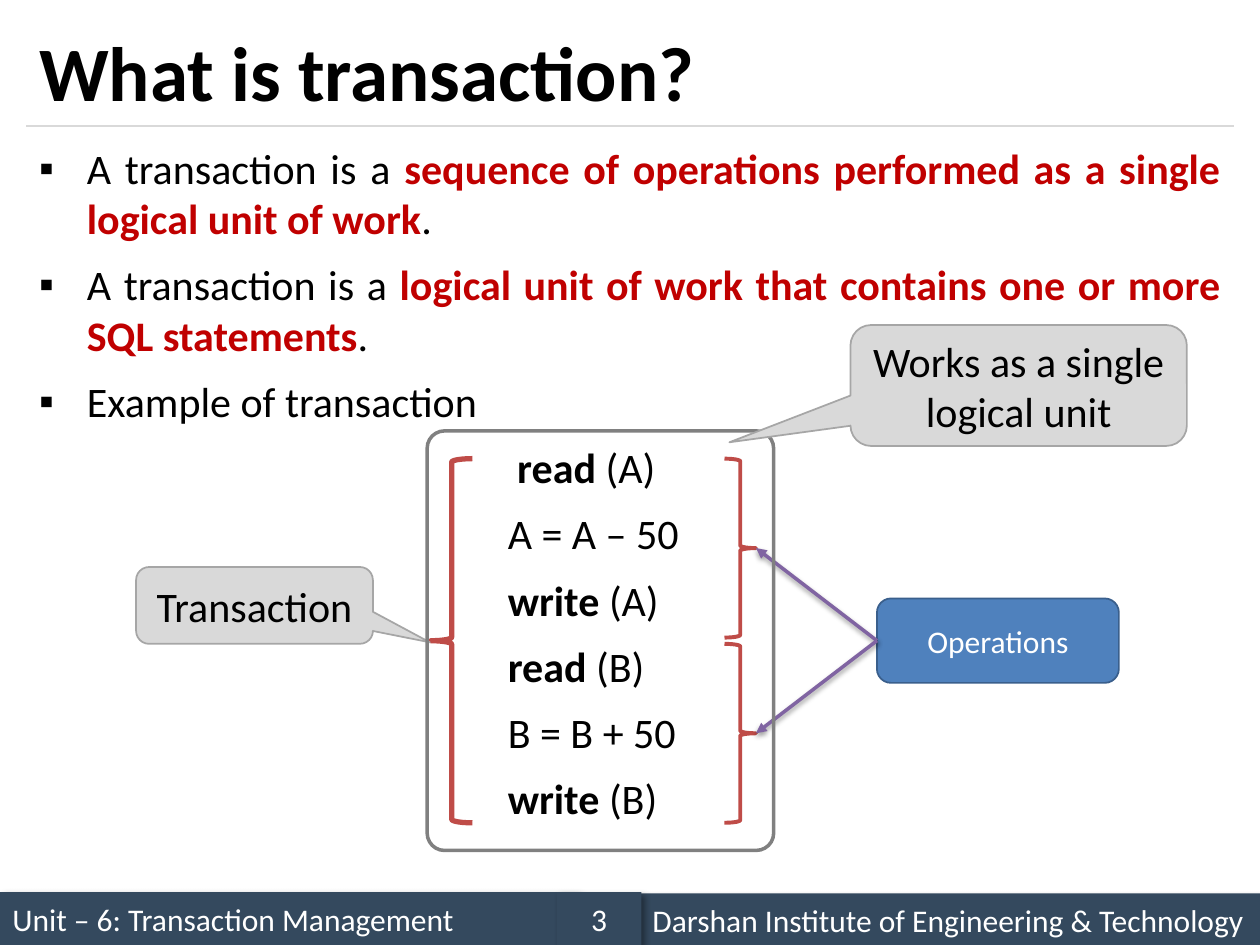
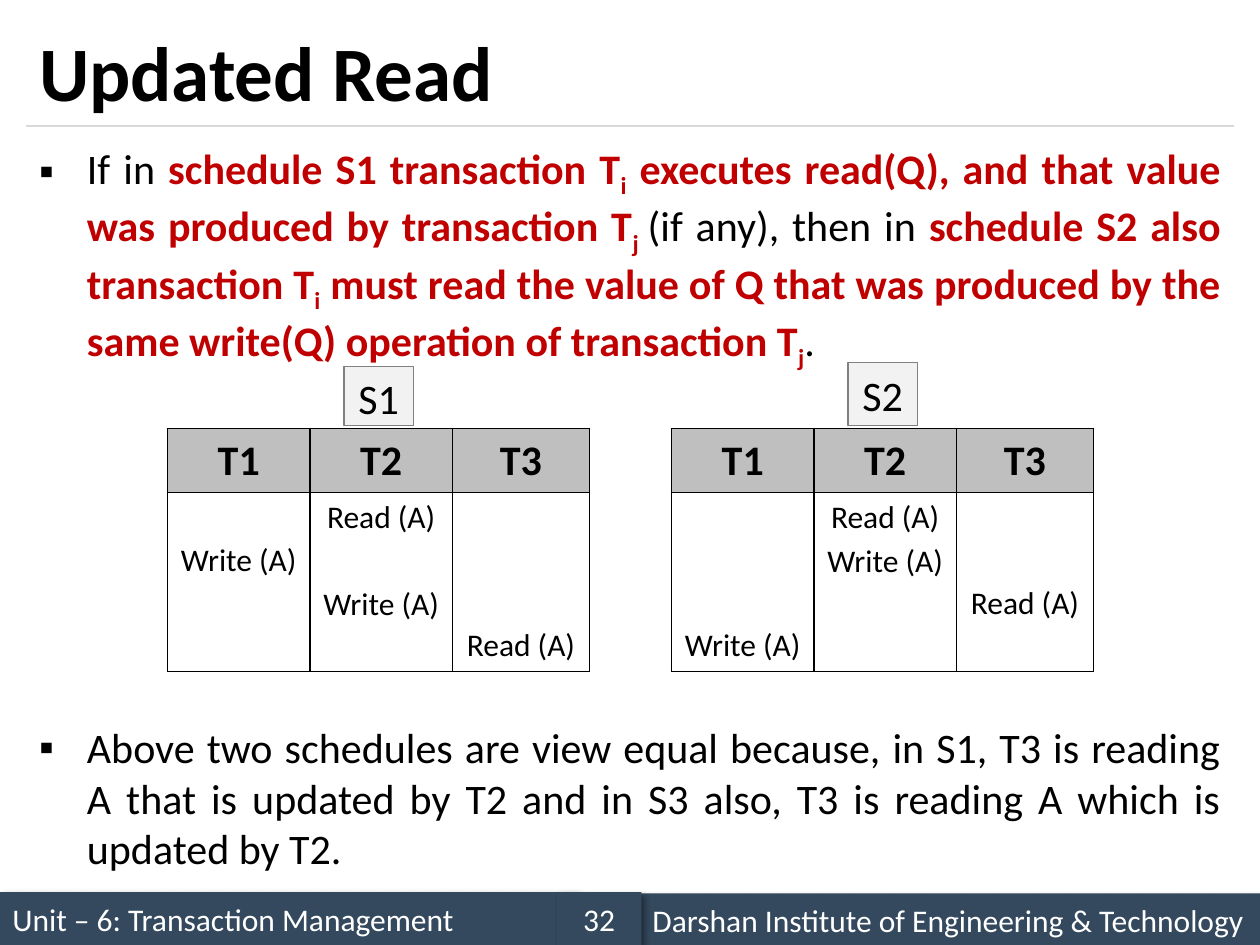
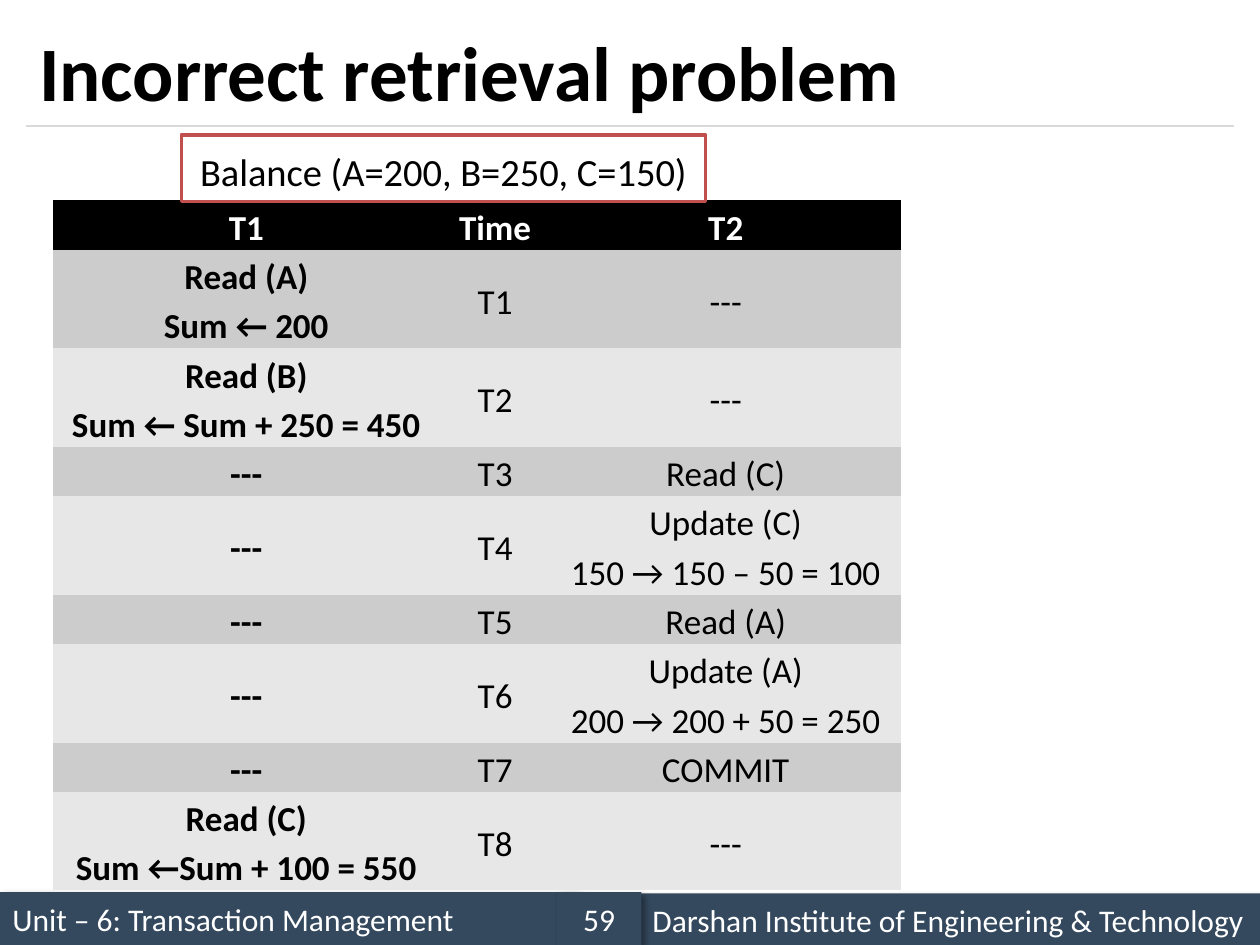
"""Build three lecture slides on transaction management."""
from dataclasses import dataclass
from typing import NamedTuple, Optional

from lxml.etree import SubElement
from pptx import Presentation
from pptx.dml.color import RGBColor
from pptx.enum.shapes import MSO_CONNECTOR, MSO_SHAPE
from pptx.enum.text import MSO_ANCHOR, MSO_AUTO_SIZE, PP_ALIGN
from pptx.oxml.ns import qn
from pptx.util import Inches, Pt

FONT = "Calibri"
BLACK = RGBColor(0x00, 0x00, 0x00)
WHITE = RGBColor(0xFF, 0xFF, 0xFF)
NAVY = RGBColor(0x34, 0x49, 0x5E)
KEY_RED = RGBColor(0xC0, 0x00, 0x00)
BRACE_RED = RGBColor(0xBF, 0x4C, 0x48)
BOX_RED = RGBColor(0xC0, 0x50, 0x4D)
BLUE = RGBColor(0x4F, 0x81, 0xBD)
DARK_BLUE = RGBColor(0x3A, 0x5F, 0x8C)
PURPLE = RGBColor(0x80, 0x64, 0xA2)
PALE_GREY = RGBColor(0xF2, 0xF2, 0xF2)
LIGHT_GREY = RGBColor(0xD9, 0xD9, 0xD9)
HEADER_GREY = RGBColor(0xBF, 0xBF, 0xBF)
LINE_GREY = RGBColor(0xA6, 0xA6, 0xA6)
DARK_GREY = RGBColor(0x80, 0x80, 0x80)
ROW_GREYS = (RGBColor(0xE7, 0xE7, 0xE7), RGBColor(0xCC, 0xCC, 0xCC))
PLAIN_TABLE_STYLE = "{2D5ABB26-0587-4C30-8999-92F81FD0307C}"
TABLE_SPACING = 1.15
SLOT_HEIGHT = 0.34
LINE_HEIGHT = 0.39


class Shadow(NamedTuple):
    """Black outer shadow: opacity in percent, blur and distance in points, angle in degrees."""
    opacity: int
    blur: float
    distance: float
    angle: int


BAND_SHADOW = Shadow(40, 4, 3, 45)
ARROW_SHADOW = Shadow(38, 3.1, 1.6, 90)


@dataclass(frozen=True)
class Span:
    """A stretch of text in one format."""
    text: str
    size: float = 24
    color: RGBColor = BLACK
    bold: bool = False
    subscript: bool = False


@dataclass(frozen=True)
class Entry:
    """A body paragraph: bulleted, or an indented program step."""
    spans: tuple
    bulleted: bool = True
    before: float = 9


@dataclass(frozen=True)
class Panel:
    """A preset shape with an optional label."""
    kind: MSO_SHAPE
    at: tuple
    fill: Optional[RGBColor] = None
    line: Optional[RGBColor] = None
    width: float = 1
    label: Optional[Span] = None
    adjustments: tuple = ()
    align: PP_ALIGN = PP_ALIGN.CENTER
    anchor: MSO_ANCHOR = MSO_ANCHOR.MIDDLE
    spacing: float = 1
    shadow: Optional[Shadow] = None


class Schedule(NamedTuple):
    """A schedule table: per transaction, its operations with their time slots."""
    name: str
    left: float
    label_top: float
    operations: tuple


def key(text: str) -> Span:
    """Return highlighted text."""
    return Span(text, color=KEY_RED, bold=True)


def key_index(text: str) -> Span:
    """Return a highlighted subscript."""
    return Span(text, color=KEY_RED, bold=True, subscript=True)


def step(*spans: Span) -> Entry:
    """Return one indented program step."""
    return Entry(spans, bulleted=False)


def add_span(para, span: Span) -> None:
    """Add one formatted run to a paragraph."""
    run = para.add_run()
    run.text = span.text
    font = run.font
    font.name, font.size, font.bold = FONT, Pt(span.size), span.bold
    font.color.rgb = span.color
    if span.subscript:
        font._element.set("baseline", "-25000")


def next_para(frame, index: int):
    """Return the first paragraph of a frame or add a new one."""
    return frame.add_paragraph() if index else frame.paragraphs[0]


def cast_shadow(shape, shadow: Optional[Shadow]) -> None:
    """Replace the theme shadow by the given one, or by none."""
    properties = shape._element.spPr
    effects = properties.find(qn("a:effectLst"))
    if effects is None:
        effects = SubElement(properties, qn("a:effectLst"))
    if shadow:
        outer = SubElement(effects, qn("a:outerShdw"), blurRad=str(Pt(shadow.blur)),
                           dist=str(Pt(shadow.distance)), dir=str(shadow.angle * 60000),
                           algn="ctr", rotWithShape="0")
        color = SubElement(outer, qn("a:srgbClr"), val=str(BLACK))
        SubElement(color, qn("a:alpha"), val=str(shadow.opacity * 1000))


def add_panel(page, panel: Panel):
    """Draw a preset shape."""
    shape = page.shapes.add_shape(panel.kind, *map(Inches, panel.at))
    shape.shadow.inherit = False
    for index, value in enumerate(panel.adjustments):
        shape.adjustments[index] = value
    if panel.fill is None:
        shape.fill.background()
    else:
        shape.fill.solid()
        shape.fill.fore_color.rgb = panel.fill
    if panel.line is None:
        shape.line.fill.background()
    else:
        shape.line.color.rgb = panel.line
        shape.line.width = Pt(panel.width)
    cast_shadow(shape, panel.shadow)
    if panel.label:
        frame = shape.text_frame
        frame.word_wrap = True
        frame.vertical_anchor = panel.anchor
        para = frame.paragraphs[0]
        para.alignment, para.line_spacing = panel.align, panel.spacing
        add_span(para, panel.label)
    return shape


def add_line(page, start: tuple, end: tuple, color: RGBColor, width: float,
             shadow: Optional[Shadow] = None, arrow: bool = False):
    """Draw a straight line, with an arrowhead at its end if wanted."""
    line = page.shapes.add_connector(MSO_CONNECTOR.STRAIGHT, *map(Inches, start + end))
    line.line.color.rgb = color
    line.line.width = Pt(width)
    if arrow:
        SubElement(line.line._get_or_add_ln(), qn("a:tailEnd"), type="triangle")
    cast_shadow(line, shadow)
    return line


def place(shape, *at: float) -> None:
    """Move and size a placeholder."""
    shape.left, shape.top, shape.width, shape.height = map(Inches, at)


def add_page(deck, layout: int, title: str, number: int):
    """Add a slide with title, rule and footer bands."""
    page = deck.slides.add_slide(deck.slide_layouts[layout])
    bands = (
        ((0, 7.08, 4.58, 0.42), "Unit – 6: Transaction Management", PP_ALIGN.LEFT),
        ((5.08, 7.09, 4.92, 0.42), "Darshan Institute of Engineering & Technology", PP_ALIGN.LEFT),
        ((4.42, 7.08, 0.67, 0.42), str(number), PP_ALIGN.CENTER),
    )
    for at, text, align in bands:
        add_panel(page, Panel(MSO_SHAPE.RECTANGLE, at, NAVY, label=Span(text, 18, WHITE),
                              align=align, shadow=BAND_SHADOW))
    add_line(page, (0.21, 1), (9.79, 1), LIGHT_GREY, 0.75)
    box = page.shapes.title
    place(box, 0.21, 0.12, 9.58, 0.88)
    frame = box.text_frame
    frame.auto_size = MSO_AUTO_SIZE.NONE
    frame.vertical_anchor = MSO_ANCHOR.MIDDLE
    frame.paragraphs[0].alignment = PP_ALIGN.LEFT
    add_span(frame.paragraphs[0], Span(title, 44, bold=True))
    return page


def fill_body(page, entries: tuple) -> None:
    """Write the entries into the body placeholder."""
    box = page.placeholders[1]
    place(box, 0.21, 1.08, 9.58, 5.83)
    frame = box.text_frame
    frame.auto_size = MSO_AUTO_SIZE.NONE
    for index, entry in enumerate(entries):
        para = next_para(frame, index)
        properties = para._p.get_or_add_pPr()
        left, indent = (0.38, -0.38) if entry.bulleted else (2.05, 1.67)
        properties.set("marL", str(Inches(left)))
        properties.set("indent", str(Inches(indent)))
        if entry.bulleted:
            SubElement(properties, qn("a:buChar"), char="▪")
        else:
            SubElement(properties, qn("a:buNone"))
        para.alignment = PP_ALIGN.JUSTIFY if entry.bulleted else PP_ALIGN.LEFT
        para.space_before = Pt(entry.before if index else 0)
        for span in entry.spans:
            add_span(para, span)


def add_grid(page, left: float, top: float, widths: tuple, heights: tuple):
    """Add a table without a style and return it."""
    holder = page.shapes.add_table(len(heights), len(widths), Inches(left), Inches(top),
                                   Inches(sum(widths)), Inches(sum(heights)))
    table = holder.table
    table._tbl.tblPr.find(qn("a:tableStyleId")).text = PLAIN_TABLE_STYLE
    for column, width in zip(table.columns, widths):
        column.width = Inches(width)
    for row, height in zip(table.rows, heights):
        row.height = Inches(height)
    return table


def fill_cell(cell, spans: tuple, fill: Optional[RGBColor], margin: float,
              gaps: tuple = ()) -> None:
    """Write centred lines into a cell, with gaps in inches above the lines."""
    cell.margin_left = cell.margin_right = Inches(margin)
    cell.margin_top = Inches(gaps[0] if gaps else 0)
    cell.margin_bottom = Inches(0)
    for index, span in enumerate(spans):
        para = next_para(cell.text_frame, index)
        para.alignment, para.line_spacing = PP_ALIGN.CENTER, TABLE_SPACING
        if index and gaps:
            para.space_before = Inches(gaps[index])
        add_span(para, span)
    if fill is None:
        cell.fill.background()
    else:
        cell.fill.solid()
        cell.fill.fore_color.rgb = fill


def border_cell(cell) -> None:
    """Give a cell thin black borders on all sides."""
    properties = cell._tc.get_or_add_tcPr()
    for index, side in enumerate(("lnL", "lnR", "lnT", "lnB")):
        line = SubElement(properties, qn(f"a:{side}"), w=str(Pt(1)))
        SubElement(SubElement(line, qn("a:solidFill")), qn("a:srgbClr"), val=str(BLACK))
        properties.remove(line)
        properties.insert(index, line)


def add_schedule(page, schedule: Schedule) -> None:
    """Draw a schedule table and its name tag."""
    table = add_grid(page, schedule.left, 3.4, (1.13, 1.13, 1.09), (0.51, 1.42))
    for column, operations in enumerate(schedule.operations):
        header, body = table.cell(0, column), table.cell(1, column)
        fill_cell(header, (Span(f"T{column + 1}", bold=True),), HEADER_GREY, 0.07)
        gaps, free_slot = [], 0
        for slot, _ in operations:
            gaps.append((slot - free_slot) * SLOT_HEIGHT)
            free_slot = slot + 1
        fill_cell(body, tuple(Span(text, 18) for _, text in operations), None, 0.07, tuple(gaps))
        border_cell(header)
        border_cell(body)
    top = schedule.label_top
    add_panel(page, Panel(MSO_SHAPE.RECTANGLE, (schedule.left + 1.4, top, 0.55, 3.38 - top),
                          PALE_GREY, DARK_GREY, 0.75, Span(schedule.name),
                          anchor=MSO_ANCHOR.TOP))


def build_definition(deck) -> None:
    """Build the slide that defines a transaction."""
    page = add_page(deck, 1, "What is transaction?", 3)
    fill_body(page, (
        Entry((Span("A transaction is a "),
               key("sequence of operations performed as a single logical unit of work"),
               Span("."))),
        Entry((Span("A transaction is a "),
               key("logical unit of work that contains one or more SQL statements"),
               Span("."))),
        Entry((Span("Example of transaction"),)),
        step(Span(" "), Span("read ", bold=True), Span("(A)")),
        step(Span("A = A – 50")),
        step(Span("write ", bold=True), Span("(A)")),
        step(Span("read ", bold=True), Span("(B)")),
        step(Span("B = B + 50")),
        step(Span("write ", bold=True), Span("(B)")),
    ))
    brace_tops = (3.64, 5.11)
    for top in brace_tops:
        add_panel(page, Panel(MSO_SHAPE.RIGHT_BRACE, (5.75, top, 0.25, 1.42),
                              line=BRACE_RED, width=2.25))
    add_panel(page, Panel(MSO_SHAPE.LEFT_BRACE, (3.42, 3.64, 0.33, 2.89),
                          line=BRACE_RED, width=3))
    add_panel(page, Panel(MSO_SHAPE.ROUNDED_RECTANGULAR_CALLOUT, (1.08, 4.5, 1.88, 0.61),
                          LIGHT_GREY, LINE_GREY, label=Span("Transaction"),
                          adjustments=(0.74, 0.48, 0.17)))
    operations = add_panel(page, Panel(MSO_SHAPE.ROUNDED_RECTANGLE, (6.96, 4.75, 1.92, 0.67),
                                       BLUE, DARK_BLUE, label=Span("Operations", 18, WHITE)))
    for top in brace_tops:
        arrow = add_line(page, (6.96, 5.08), (6, top + 0.71), PURPLE, 2, ARROW_SHADOW, arrow=True)
        arrow.begin_connect(operations, 1)
    add_panel(page, Panel(MSO_SHAPE.ROUNDED_RECTANGLE, (3.39, 3.42, 2.75, 3.33),
                          line=DARK_GREY, width=2, adjustments=(0.05,)))
    add_panel(page, Panel(MSO_SHAPE.ROUNDED_RECTANGULAR_CALLOUT, (6.75, 2.58, 2.67, 0.96),
                          LIGHT_GREY, LINE_GREY, label=Span("Works as a single logical unit"),
                          adjustments=(-0.86, 0.47, 0.17)))


def build_updated_read(deck) -> None:
    """Build the slide that compares two schedules."""
    page = add_page(deck, 1, "Updated Read", 32)
    fill_body(page, (
        Entry((Span("If in "), key("schedule S1 transaction T"), key_index("i"),
               key(" executes read(Q), and that value was produced by transaction T"),
               key_index("j "), Span("(if any), then in "),
               key("schedule S2 also transaction T"), key_index("i"),
               key(" must read the value of Q that was produced by the same write(Q) "
                   "operation of transaction T"),
               key_index("j"), Span("."))),
        Entry((Span("Above two schedules are view equal because, in S1, T3 is reading A that is "
                    "updated by T2 and in S3 also, T3 is reading A which is updated by T2."),),
              before=200),
    ))
    read, write = "Read (A)", "Write (A)"
    for schedule in (
        Schedule("S1", 1.33, 2.91, (((1, write),), ((0, read), (2, write)), ((3, read),))),
        Schedule("S2", 5.33, 2.88, (((3, write),), ((0, read), (1, write)), ((2, read),))),
    ):
        add_schedule(page, schedule)


def build_retrieval_problem(deck) -> None:
    """Build the slide with the timeline of two transactions."""
    page = add_page(deck, 5, "Incorrect retrieval problem", 59)
    idle = ("---",)
    events = (
        (("Read (A)", "Sum ← 200"), idle),
        (("Read (B)", "Sum ← Sum + 250 = 450"), idle),
        (idle, ("Read (C)",)),
        (idle, ("Update (C)", "150 → 150 – 50 = 100")),
        (idle, ("Read (A)",)),
        (idle, ("Update (A)", "200 → 200 + 50 = 250")),
        (idle, ("COMMIT",)),
        (("Read (C)", "Sum ←Sum + 100 = 550"), idle),
    )
    rows = [(("T1",), ("Time",), ("T2",))]
    rows += [(first, (f"T{time}",), second) for time, (first, second) in enumerate(events, 1)]
    heights = tuple(LINE_HEIGHT * max(map(len, row)) for row in rows)
    table = add_grid(page, 0.42, 1.59, (3.07, 0.88, 2.78), heights)
    for row_index, row in enumerate(rows):
        is_header = row_index == 0
        fill = BLACK if is_header else ROW_GREYS[row_index % 2]
        color = WHITE if is_header else BLACK
        for column, lines in enumerate(row):
            cell = table.cell(row_index, column)
            bold = is_header or column == 0
            fill_cell(cell, tuple(Span(text, 20, color, bold) for text in lines), fill, 0.12)
            cell.vertical_anchor = MSO_ANCHOR.MIDDLE
    add_panel(page, Panel(MSO_SHAPE.RECTANGLE, (1.44, 1.07, 4.16, 0.53), WHITE, BOX_RED, 2,
                          Span("Balance (A=200, B=250, C=150)", 22),
                          anchor=MSO_ANCHOR.TOP, spacing=TABLE_SPACING))


def main() -> None:
    """Build and save the deck."""
    deck = Presentation()
    deck.slide_width, deck.slide_height = Inches(10), Inches(7.5)
    build_definition(deck)
    build_updated_read(deck)
    build_retrieval_problem(deck)
    deck.save("out.pptx")


if __name__ == "__main__":
    main()
